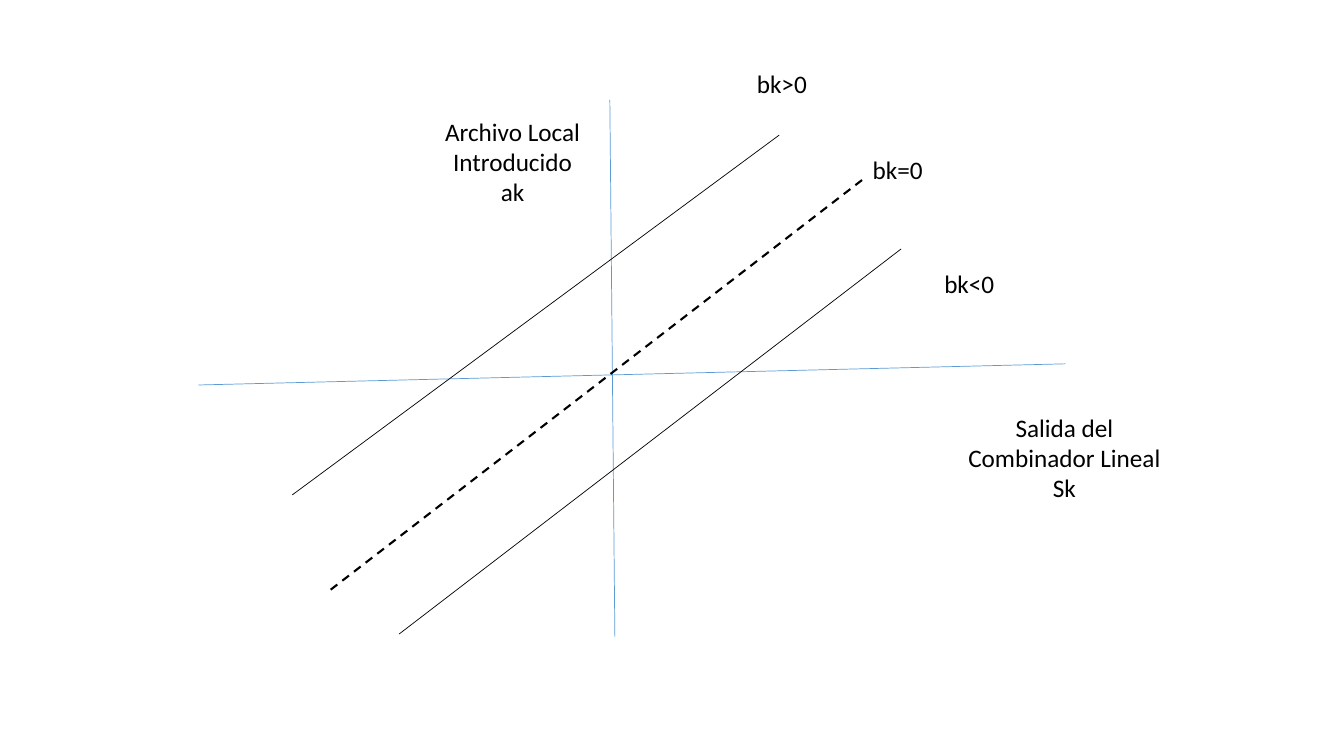
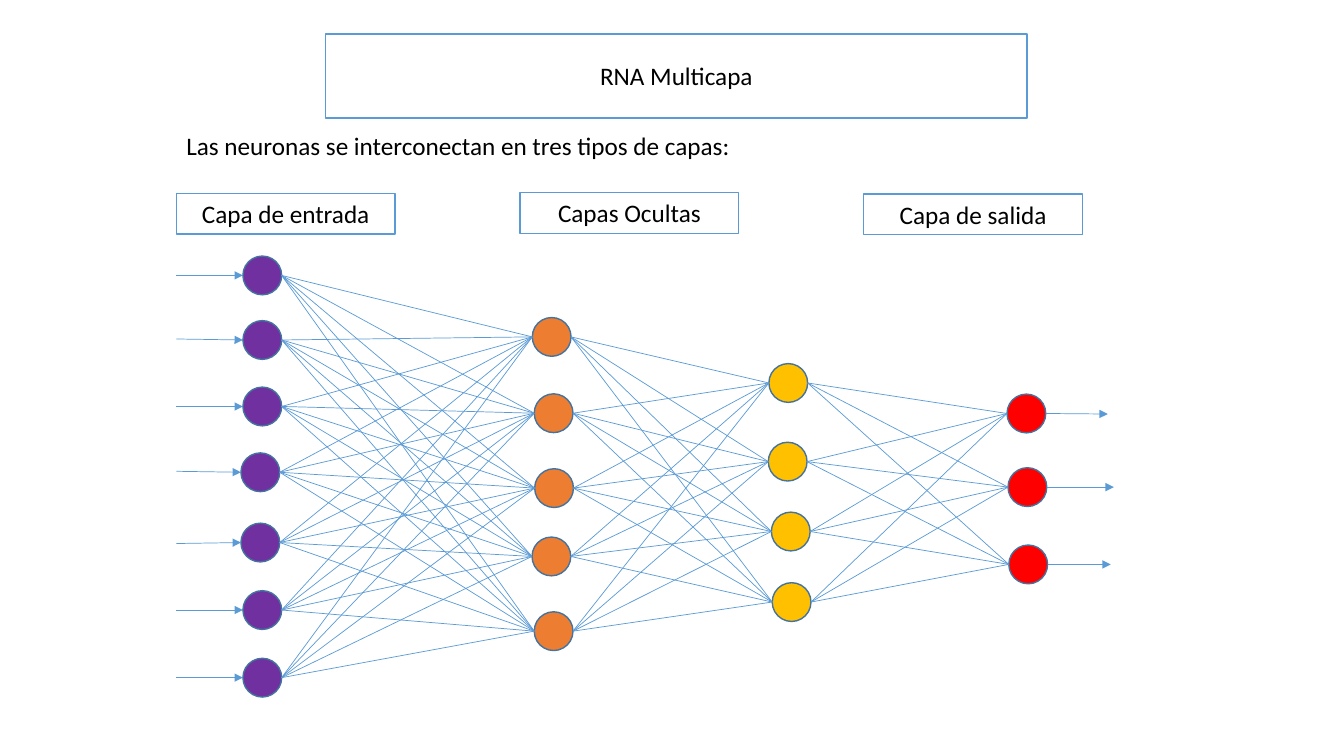
from dataclasses import dataclass
from itertools import pairwise, product

from lxml import etree
from pptx import Presentation
from pptx.dml.color import RGBColor
from pptx.enum.dml import MSO_LINE
from pptx.enum.shapes import MSO_CONNECTOR, MSO_SHAPE
from pptx.enum.text import MSO_ANCHOR, MSO_AUTO_SIZE, PP_ALIGN
from pptx.oxml.ns import qn
from pptx.slide import Slide
from pptx.util import Pt

BLACK = RGBColor(0x00, 0x00, 0x00)
WHITE = RGBColor(0xFF, 0xFF, 0xFF)
BLUE = RGBColor(0x5B, 0x9B, 0xD5)
NAVY = RGBColor(0x43, 0x73, 0x9E)
PURPLE = RGBColor(0x70, 0x30, 0xA0)
ORANGE = RGBColor(0xED, 0x7D, 0x31)
YELLOW = RGBColor(0xFF, 0xC0, 0x00)
RED = RGBColor(0xFF, 0x00, 0x00)

LEFT, CENTER = PP_ALIGN.LEFT, PP_ALIGN.CENTER
MIDDLE = MSO_ANCHOR.MIDDLE
GROW = MSO_AUTO_SIZE.SHAPE_TO_FIT_TEXT
DASH = MSO_LINE.DASH
STRAIGHT = MSO_CONNECTOR.STRAIGHT
RECT, OVAL = MSO_SHAPE.RECTANGLE, MSO_SHAPE.OVAL

FONT = "Calibri"
SIZE = 18
ROW = 29.1
DOT = 27.7
EDGE = 126


@dataclass(frozen=True)
class Line:
    x1: float
    y1: float
    x2: float
    y2: float
    color: RGBColor = BLUE
    width: float = 0.5
    dashed: bool = False
    arrow: bool = False


@dataclass(frozen=True)
class Label:
    text: str
    x: float
    y: float
    width: float
    height: float = ROW
    align: PP_ALIGN = LEFT


@dataclass(frozen=True)
class Dot:
    x: float
    y: float

    @property
    def right(self) -> float:
        return self.x + DOT

    @property
    def mid(self) -> float:
        return self.y + DOT / 2


@dataclass(frozen=True)
class Layer:
    color: RGBColor
    dots: tuple[Dot, ...]


PLOT = (
    Line(435.6, 71.3, 439.2, 455),
    Line(141.8, 275, 761, 259.9),
    Line(236.2, 421.2, 616.3, 128.2, BLACK, 1.5, dashed=True),
    Line(208.8, 353.5, 556.6, 96.5, BLACK),
    Line(285.1, 452.9, 643.7, 177.8, BLACK),
)
NOTES = (
    Label("Archivo Local Introducido\nak", 294.5, 79.2, 143.3, 72.7, CENTER),
    Label("Salida del Combinador Lineal\nSk", 678.2, 290.9, 164.2, 72.7, CENTER),
    Label("bk=0", 616.3, 106.6, 74.2),
    Label("bk>0", 533.5, 45.4, 66.2),
    Label("bk<0", 667.4, 187.9, 61.2),
)
TITLE = Label("RNA Multicapa", 232.6, 39.6, 501.1, align=CENTER)
INTRO = Label("Las neuronas se interconectan en tres tipos de capas:",
              EDGE, 89.3, 468.7)
HEADS = (("Capa de entrada", 138.2), ("Capas Ocultas", 137.5),
         ("Capa de salida", 138.6))
LAYERS = (
    Layer(PURPLE, (Dot(173.5, 182.9), Dot(173.5, 229), Dot(173.5, 276.5),
                   Dot(172.1, 323.5), Dot(172.1, 373.7), Dot(173.5, 421.9),
                   Dot(173.5, 470.2))),
    Layer(ORANGE, (Dot(380.2, 226.8), Dot(381.6, 281.3), Dot(381.9, 334.8),
                   Dot(380, 383.6), Dot(381.6, 437))),
    Layer(YELLOW, (Dot(549.2, 259.7), Dot(548.8, 315.9), Dot(551, 365.8),
                   Dot(551.6, 416.2))),
    Layer(RED, (Dot(719.3, 281.5), Dot(720, 334.1), Dot(720.6, 389.3))),
)
TILTS = (0, -0.7, 0, -0.7, 0.7, 0, 0)
TIPS = ((791.3, 0.4), (795.6, 0), (793.4, 0))


def draw_line(slide: Slide, line: Line) -> None:
    shape = slide.shapes.add_connector(
        STRAIGHT, Pt(line.x1), Pt(line.y1), Pt(line.x2), Pt(line.y2))
    shape.line.color.rgb = line.color
    shape.line.width = Pt(line.width)
    if line.dashed:
        shape.line.dash_style = DASH
    props = shape._element.spPr
    if line.arrow:
        etree.SubElement(props.find(qn("a:ln")), qn("a:tailEnd"), type="triangle")
    etree.SubElement(props, qn("a:effectLst"))


def put_text(shape, label: Label) -> None:
    frame = shape.text_frame
    frame.text = label.text
    frame.word_wrap = True
    frame.auto_size = GROW
    for para in frame.paragraphs:
        para.alignment = label.align
        para.font.name = FONT
        para.font.size = Pt(SIZE)
        para.font.color.rgb = BLACK


def frame_box(shape) -> None:
    shape.fill.solid()
    shape.fill.fore_color.rgb = WHITE
    shape.line.color.rgb = BLUE
    shape.line.width = Pt(1)
    shape.text_frame.vertical_anchor = MIDDLE


def place(label: Label) -> tuple[Pt, Pt, Pt, Pt]:
    return Pt(label.x), Pt(label.y), Pt(label.width), Pt(label.height)


def draw_note(slide: Slide, label: Label) -> None:
    put_text(slide.shapes.add_textbox(*place(label)), label)


def draw_head(slide: Slide, label: Label) -> None:
    shape = slide.shapes.add_shape(RECT, *place(label))
    shape.shadow.inherit = False
    frame_box(shape)
    put_text(shape, label)


def draw_title(slide: Slide, label: Label) -> None:
    shape = slide.shapes.title
    shape.left, shape.top, shape.width, shape.height = place(label)
    frame_box(shape)
    put_text(shape, label)


def draw_dot(slide: Slide, dot: Dot, color: RGBColor) -> None:
    shape = slide.shapes.add_shape(OVAL, Pt(dot.x), Pt(dot.y), Pt(DOT), Pt(DOT))
    shape.shadow.inherit = False
    shape.fill.solid()
    shape.fill.fore_color.rgb = color
    shape.line.color.rgb = NAVY
    shape.line.width = Pt(1)


def draw_plot(slide: Slide) -> None:
    for line in PLOT:
        draw_line(slide, line)
    for note in NOTES:
        draw_note(slide, note)


def draw_net(slide: Slide) -> None:
    draw_title(slide, TITLE)
    draw_note(slide, INTRO)
    for layer in LAYERS:
        for dot in layer.dots:
            draw_dot(slide, dot, layer.color)
    for near, far in pairwise(LAYERS):
        for a, b in product(near.dots, far.dots):
            draw_line(slide, Line(a.right, a.mid, b.x, b.mid))
    for dot, tilt in zip(LAYERS[0].dots, TILTS):
        draw_line(slide, Line(EDGE, dot.mid + tilt, dot.x, dot.mid, arrow=True))
    for dot, (tip, tilt) in zip(LAYERS[-1].dots, TIPS):
        draw_line(slide, Line(dot.right, dot.mid, tip, dot.mid + tilt, arrow=True))
    for i, (text, top) in enumerate(HEADS):
        draw_head(slide, Label(text, EDGE + 245.5 * i, top, 156.2, align=CENTER))


def main() -> None:
    deck = Presentation()
    deck.slide_width, deck.slide_height = Pt(960), Pt(540)
    title_only, blank = deck.slide_layouts[5], deck.slide_layouts[6]
    draw_plot(deck.slides.add_slide(blank))
    draw_net(deck.slides.add_slide(title_only))
    deck.save("out.pptx")


if __name__ == "__main__":
    main()
